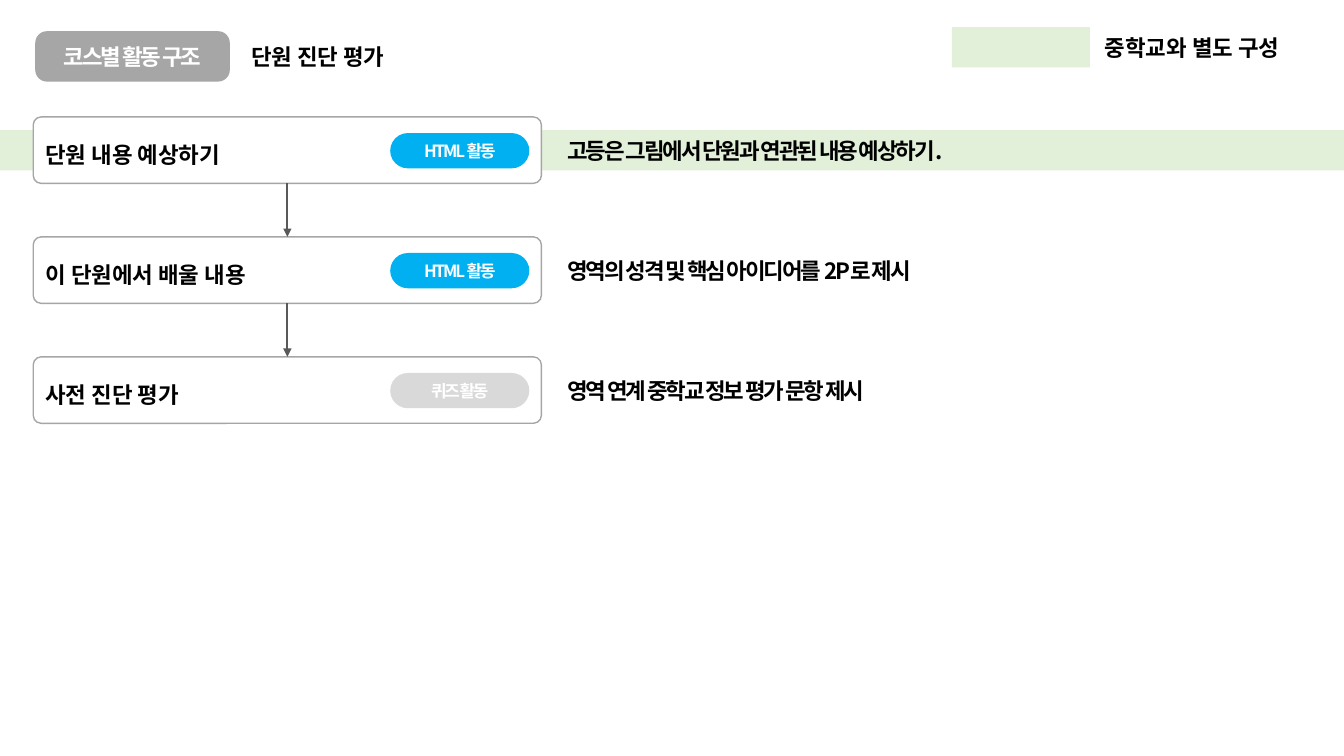
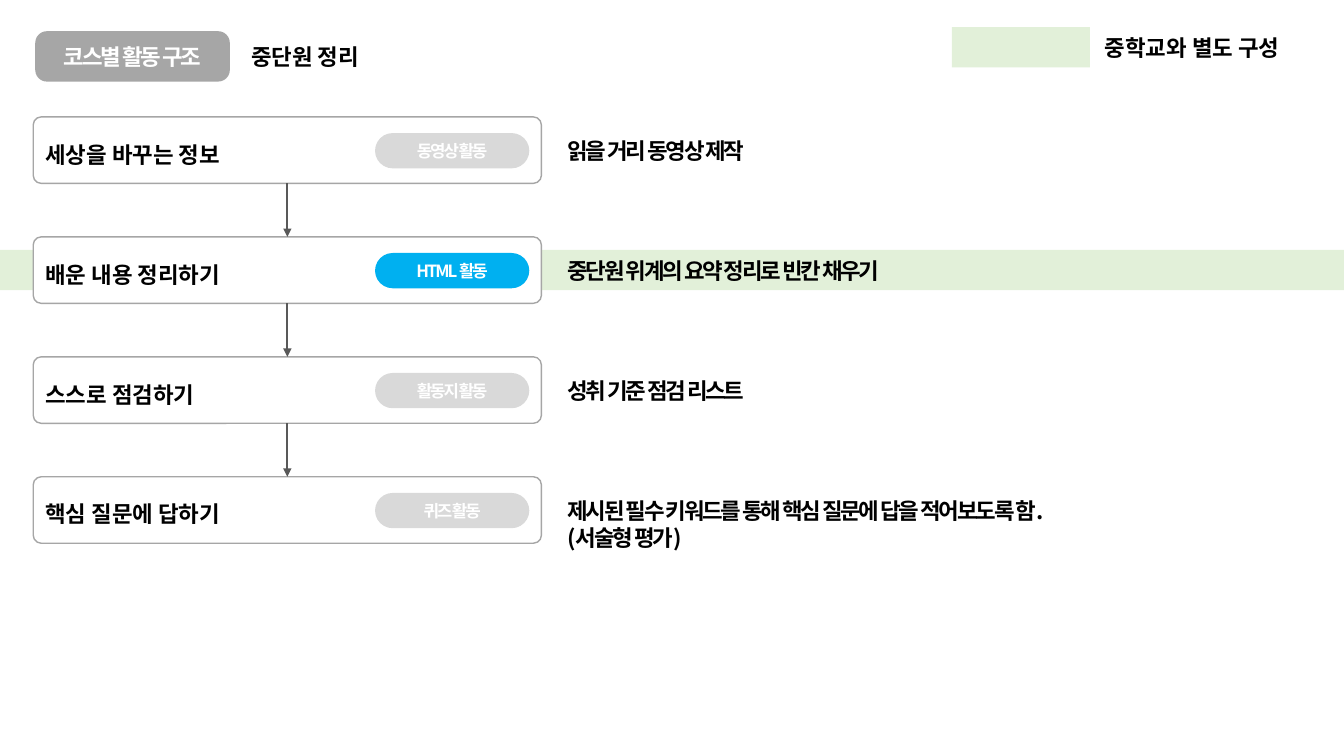
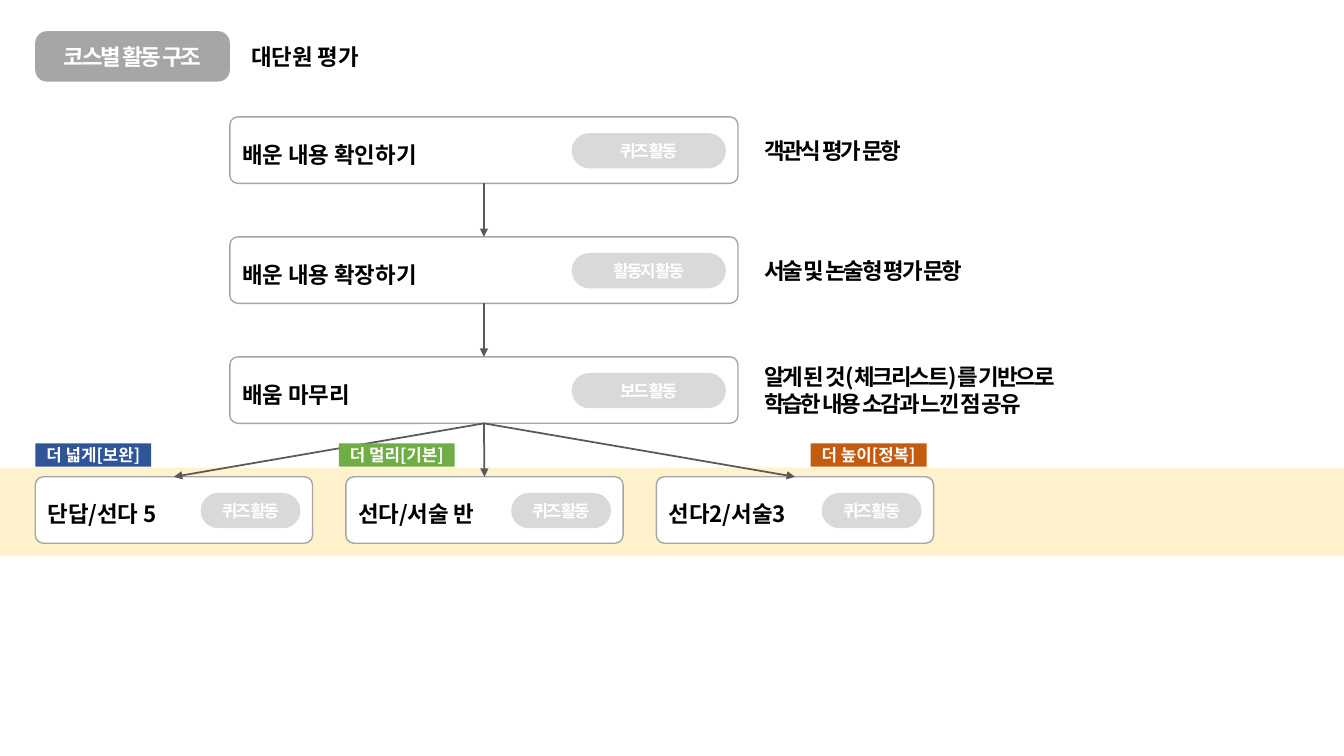
from lxml import etree
from pptx import Presentation
from pptx.dml.color import RGBColor
from pptx.enum import shapes, text
from pptx.oxml.ns import qn
from pptx.util import Inches, Pt

FONT = "Noto Sans CJK KR"
C = {
    "black": "000000", "white": "FFFFFF", "badge": "A6A6A6", "arrow": "595959",
    "html": "00B0F0", "other": "D9D9D9", "green": "E2F0D9", "yellow": "FFF2CC",
    "wide": "2F5597", "far": "70AD47", "high": "C55A11",
}
WIDTH, HEIGHT = 13.33, 7.5
TOP, PITCH = 1.16, 1.19
BOX_W, BOX_H = 5.04, 0.66
PILL_H, PILL_GAP = 0.35, 0.12
BRANCH_X, BRANCH_W, BRANCH_PITCH = 0.35, 2.75, 3.08
RECT = shapes.MSO_SHAPE.RECTANGLE
ROUND = shapes.MSO_SHAPE.ROUNDED_RECTANGLE
LEFT, CENTER = text.PP_ALIGN.LEFT, text.PP_ALIGN.CENTER

# Each step: name, activity, description, vertical shift of the description
SLIDES = [
    {"title": "단원 진단 평가", "x": 0.33, "pill": 1.38, "own_row": 0, "steps": [
        ("단원 내용 예상하기", "HTML 활동", "고등은 그림에서 단원과 연관된 내용 예상하기.", 0.15),
        ("이 단원에서 배울 내용", "HTML 활동", "영역의 성격 및 핵심 아이디어를 2P로 제시", 0.15),
        ("사전 진단 평가", "퀴즈 활동", "영역 연계 중학교 정보 평가 문항 제시", 0.15)]},
    {"title": "중단원 정리", "x": 0.33, "pill": 1.53, "own_row": 1, "steps": [
        ("세상을 바꾸는 정보", "동영상 활동", "읽을 거리 동영상 제작", 0.15),
        ("배운 내용 정리하기", "HTML 활동", "중단원 위계의 요약 정리로 빈칸 채우기", 0.15),
        ("스스로 점검하기", "활동지 활동", "성취 기준 점검 리스트", 0.15),
        ("핵심 질문에 답하기", "퀴즈 활동",
         "제시된 필수 키워드를 통해 핵심 질문에 답을 적어보도록 함.\n(서술형 평가)", 0.15)]},
    {"title": "대단원 평가", "x": 2.28, "pill": 1.53, "own_row": None, "steps": [
        ("배운 내용 확인하기", "퀴즈 활동", "객관식 평가 문항", 0.15),
        ("배운 내용 확장하기", "활동지 활동", "서술 및 논술형 평가 문항", 0.15),
        ("배움 마무리", "보드 활동",
         "알게 된 것(체크리스트)를 기반으로\n학습한 내용 소감과 느낀 점 공유", 0.01)]},
]
BRANCHES = ["단답/선다 5", "선다/서술 반", "선다2/서술3"]
TAGS = [("더 넓게[보완]", 0.35, "wide"), ("더 멀리[기본]", 3.36, "far"),
        ("더 높이[정복]", 8.04, "high")]


def write(sp, words, color="black", size=16, align=LEFT, tight=False, leading=None,
          anchor=text.MSO_ANCHOR.TOP):
    """Fill a shape with bold text; tight pulls the letters together."""
    tf = sp.text_frame
    tf.text = words
    tf.word_wrap = True
    tf.auto_size = text.MSO_AUTO_SIZE.NONE
    tf.vertical_anchor = anchor
    for p in tf.paragraphs:
        p.alignment = align
        if leading:
            p.line_spacing = leading
        p.font.size, p.font.bold, p.font.name = Pt(size), True, FONT
        p.font.color.rgb = RGBColor.from_string(C[color])
        props = p._p.get_or_add_pPr().get_or_add_defRPr()
        etree.SubElement(props, qn("a:ea"), typeface=FONT)
        if tight:
            props.set("spc", "-150")


def block(s, kind, x, y, w, h, fill, radius=None, outline=None, words=None, **style):
    """Draw a filled shape, with centred text unless the style says otherwise."""
    sp = s.shapes.add_shape(kind, Inches(x), Inches(y), Inches(w), Inches(h))
    sp.shadow.inherit = False
    sp.fill.solid()
    sp.fill.fore_color.rgb = RGBColor.from_string(C[fill])
    if radius is not None:
        sp.adjustments[0] = radius
    if outline:
        sp.line.color.rgb = RGBColor.from_string(C[outline])
        sp.line.width = Pt(1)
    else:
        sp.line.fill.background()
    if words:
        style = {"color": "white", "align": CENTER, **style}
        write(sp, words, anchor=text.MSO_ANCHOR.MIDDLE, **style)
    return sp


prs = Presentation()
prs.slide_width, prs.slide_height = Inches(WIDTH), Inches(HEIGHT)

for page in SLIDES:
    s = prs.slides.add_slide(prs.slide_layouts[5])
    branching = page["own_row"] is None
    title = s.shapes.title
    title.left, title.top = Inches(2.39), Inches(0.38)
    title.width, title.height = Inches(5.29), Inches(0.37)
    write(title, page["title"])
    block(s, ROUND, 0.35, 0.31, 1.93, 0.5, "badge", 0.23, words="코스별 활동 구조", tight=True)

    if branching:
        block(s, RECT, 0, 4.64, WIDTH, 0.88, "yellow")
    else:
        block(s, RECT, 0, TOP + page["own_row"] * PITCH + 0.13, WIDTH, 0.4, "green")
        block(s, RECT, 9.44, 0.27, 1.37, 0.4, "green")
        legend = s.shapes.add_textbox(Inches(10.86), Inches(0.29), Inches(2.24), Inches(0.37))
        write(legend, "중학교와 별도 구성")

    # Boxes to draw: left, row, width, pill width, name, activity
    cells = [(page["x"], row, BOX_W, page["pill"], name, activity)
             for row, (name, activity, _, _) in enumerate(page["steps"])]
    if branching:
        cells += [(BRANCH_X + i * BRANCH_PITCH, len(page["steps"]), BRANCH_W, 0.99, name, "퀴즈 활동")
                  for i, name in enumerate(BRANCHES)]

    boxes = []
    for x, row, w, pill_w, name, activity in cells:
        y = TOP + row * PITCH
        boxes.append(block(s, ROUND, x, y, w, BOX_H, "white", 0.12, "badge", name,
                           color="black", align=LEFT, leading=1.3))
        block(s, ROUND, x + w - PILL_GAP - pill_w, y + 0.16, pill_w, PILL_H,
              "html" if activity.startswith("HTML") else "other", 0.5,
              words=activity, size=12, tight=True)

    for row, (_, _, description, shift) in enumerate(page["steps"]):
        lines = description.count("\n") + 1
        note = s.shapes.add_textbox(Inches(page["x"] + 5.2), Inches(TOP + row * PITCH + shift),
                                    Inches(5.88), Inches(0.1 + 0.27 * lines))
        write(note, description, tight=True)

    last = len(page["steps"]) - 1
    for i, box in enumerate(boxes[1:]):
        c = s.shapes.add_connector(shapes.MSO_CONNECTOR.STRAIGHT, 0, 0, 0, 0)
        c.begin_connect(boxes[min(i, last)], 2)
        c.end_connect(box, 0)
        c.line.color.rgb = RGBColor.from_string(C["arrow"])
        c.line.width = Pt(1.25)
        props = c._element.spPr
        etree.SubElement(props.get_or_add_ln(), qn("a:tailEnd"), type="triangle")
        etree.SubElement(props, qn("a:effectLst"))

    if branching:
        for label, x, fill in TAGS:
            tag = block(s, RECT, x, 4.4, 1.15, 0.23, fill, words=label, size=12)
            tf = tag.text_frame
            tf.margin_left = tf.margin_right = tf.margin_top = tf.margin_bottom = 0

prs.save("out.pptx")
